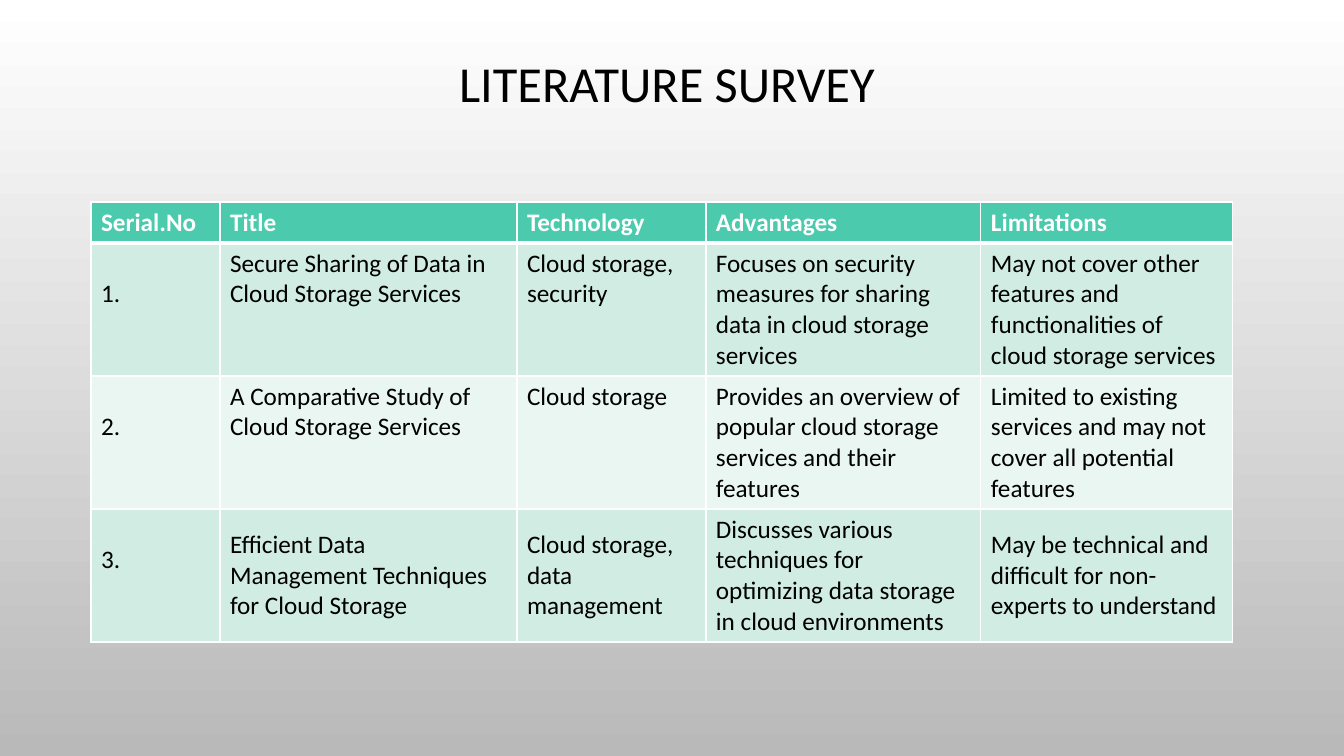
"""Build the literature survey slide: a title over a table of three papers."""
from collections import namedtuple

from lxml.etree import SubElement
from pptx import Presentation
from pptx.dml.color import RGBColor as RGB
from pptx.enum.text import MSO_ANCHOR as Anchor, PP_ALIGN as Align
from pptx.oxml.ns import qn
from pptx.util import Pt

Theme = namedtuple("Theme", "font title_size body_size ink white grey header bands")
THEME = Theme("Calibri", 36, 18, "000000", "FFFFFF", "B9B9B9", "4BCAAD", ("E9F6F1", "D0ECE3"))
SCALE = 12192000 / 1344


def px(length):
    return round(length * SCALE)


def add_run(paragraph, text, size, color, bold=False):
    run = paragraph.add_run()
    run.text = text
    run.font.name = THEME.font
    run.font.size = Pt(size)
    run.font.bold = bold
    run.font.color.rgb = RGB.from_string(color)


presentation = Presentation()
presentation.slide_width = px(1344)
presentation.slide_height = px(756)
slide = presentation.slides.add_slide(presentation.slide_layouts[6])

background = slide.background.fill
background.gradient()
background.gradient_angle = 270
for stop, position, color in zip(background.gradient_stops, (0, 1), (THEME.white, THEME.grey)):
    stop.position = position
    stop.color.rgb = RGB.from_string(color)

title = slide.shapes.add_textbox(px(91), px(12), px(1152), px(149)).text_frame
title.word_wrap = True
title.vertical_anchor = Anchor.MIDDLE
heading = title.paragraphs[0]
heading.alignment = Align.CENTER
heading.line_spacing = 0.9
add_run(heading, "LITERATURE SURVEY", THEME.title_size, THEME.ink)

ROWS = [
    ("Serial.No", "Title", "Technology", "Advantages", "Limitations"),
    ("1.", "Secure Sharing of Data in Cloud Storage Services", "Cloud storage, security",
     "Focuses on security measures for sharing data in cloud storage services",
     "May not cover other features and functionalities of cloud storage services"),
    ("2.", "A Comparative Study of Cloud Storage Services", "Cloud storage",
     "Provides an overview of popular cloud storage services and their features",
     "Limited to existing services and may not cover all potential features"),
    ("3.", "Efficient Data Management Techniques for Cloud Storage",
     "Cloud storage, data management",
     "Discusses various techniques for optimizing data storage in cloud environments",
     "May be technical and difficult for non-experts to understand"),
]
COLUMN_WIDTHS = (129, 297, 189, 275, 252)
ROW_HEIGHTS = (41, 133, 133, 133)
FIRST_MIDDLE_COLUMN = {2: 3, 3: 1}

table = slide.shapes.add_table(
    len(ROWS), len(COLUMN_WIDTHS), px(91), px(202),
    px(sum(COLUMN_WIDTHS)), px(sum(ROW_HEIGHTS))).table
table.horz_banding = False
for column, width in zip(table.columns, COLUMN_WIDTHS):
    column.width = px(width)

for row_index, (texts, height) in enumerate(zip(ROWS, ROW_HEIGHTS)):
    table.rows[row_index].height = px(height)
    is_header = row_index == 0
    fill_color = THEME.header if is_header else THEME.bands[row_index % 2]
    text_color = THEME.white if is_header else THEME.ink
    border_widths = {"lnL": 1, "lnR": 1, "lnT": 3 if row_index == 1 else 1,
                     "lnB": 3 if is_header else 1}
    for column_index, text in enumerate(texts):
        cell = table.cell(row_index, column_index)
        if column_index >= FIRST_MIDDLE_COLUMN.get(row_index, len(texts)):
            cell.vertical_anchor = Anchor.MIDDLE
        if column_index == 0 and not is_header:
            cell.margin_top = px(36)
        add_run(cell.text_frame.paragraphs[0], text, THEME.body_size, text_color, is_header)

        properties = cell._tc.get_or_add_tcPr()
        for side, width in border_widths.items():
            line = SubElement(properties, qn(f"a:{side}"), w=str(Pt(width)))
            line_fill = SubElement(line, qn("a:solidFill"))
            SubElement(line_fill, qn("a:srgbClr"), val=THEME.white)
        cell.fill.solid()
        cell.fill.fore_color.rgb = RGB.from_string(fill_color)

presentation.save("out.pptx")
